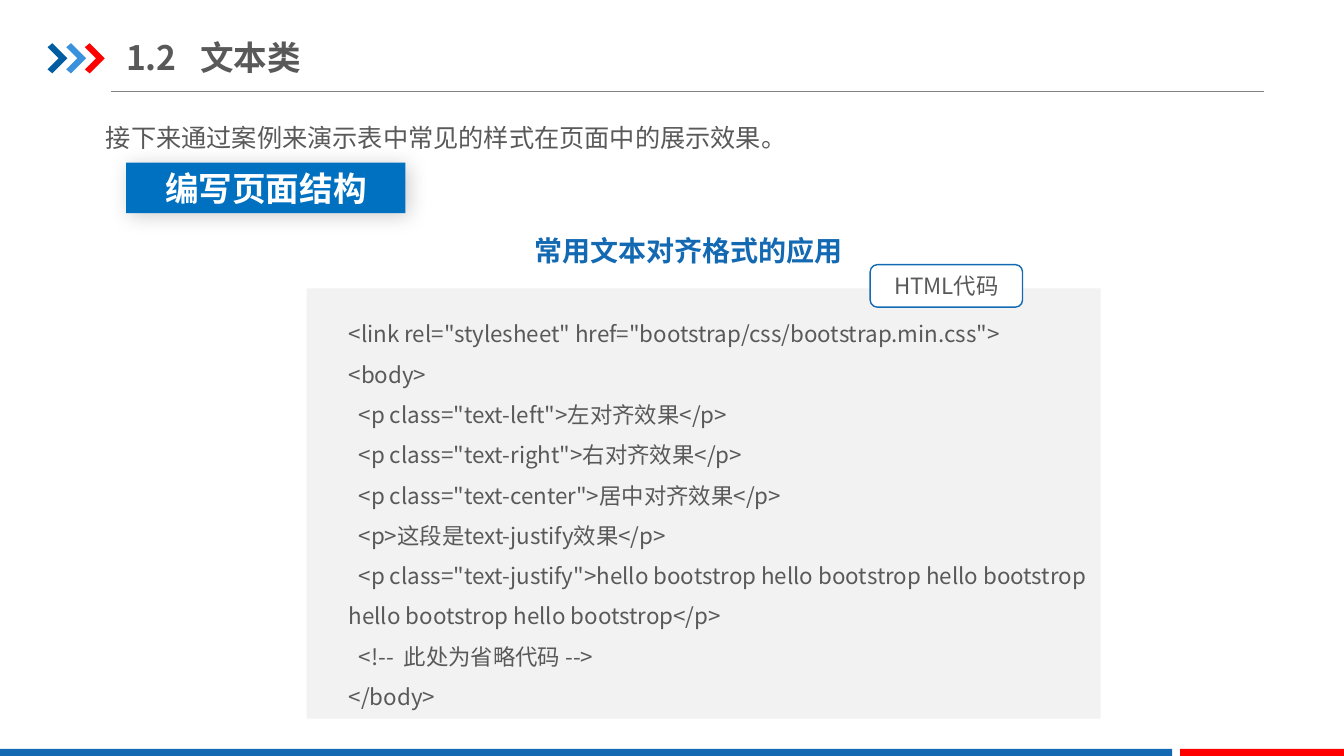
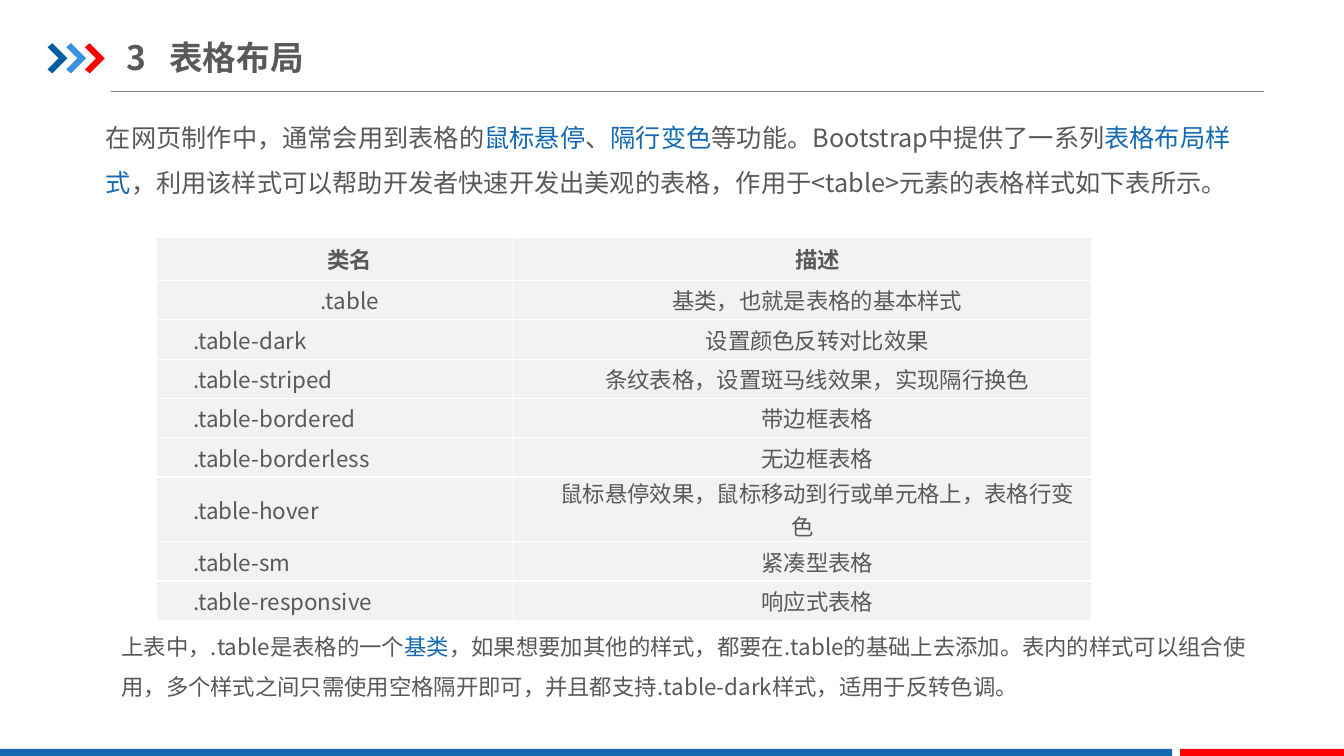
from collections import namedtuple

from lxml.etree import SubElement
from pptx import Presentation
from pptx.dml.color import RGBColor
from pptx.enum.shapes import MSO_CONNECTOR, MSO_SHAPE
from pptx.enum.text import MSO_ANCHOR, PP_ALIGN
from pptx.oxml import parse_xml
from pptx.oxml.ns import nsdecls, qn
from pptx.util import Cm, Pt

COLORS = {
    "text": "595959",
    "accent": "1369B2",
    "button": "0070C0",
    "panel": "F2F2F2",
    "white": "FFFFFF",
    "rule": "808080",
    "navy": "005DA2",
    "sky": "3992DB",
    "red": "FF0000",
    "shadow": "000000",
}
FONT = "Noto Sans CJK SC"
BODY_INSETS = (0.33, 0.18)
TITLE_INSETS = (0, 0.18)
DEFAULT_INSETS = (0.25, 0.13)
CHEVRON = [(0, 10), (12, 0), (50, 38), (12, 76), (0, 66), (28, 38)]

# All box lengths are centimetres.
Box = namedtuple("Box", "left top width height")

CODE = """<link rel="stylesheet" href="bootstrap/css/bootstrap.min.css">
<body>
  <p class="text-left">左对齐效果</p>
  <p class="text-right">右对齐效果</p>
  <p class="text-center">居中对齐效果</p>
  <p>这段是text-justify效果</p>
  <p class="text-justify">hello bootstrop hello bootstrop hello bootstrop hello bootstrop hello bootstrop</p>
  <!--  此处为省略代码 -->
</body>"""

TABLE_INTRO = (
    "在网页制作中，通常会用到表格的|鼠标悬停|、|隔行变色|等功能。Bootstrap中提供了一系列"
    "|表格布局样式|，利用该样式可以帮助开发者快速开发出美观的表格，"
    "作用于<table>元素的表格样式如下表所示。"
)
TABLE_NOTE = (
    "上表中，.table是表格的一个|基类|，如果想要加其他的样式，都要在.table的基础上去添加。"
    "表内的样式可以组合使用，多个样式之间只需使用空格隔开即可，"
    "并且都支持.table-dark样式，适用于反转色调。"
)
HEADER_ROW, SINGLE_ROW, DOUBLE_ROW = 1.09, 0.99, 1.63
CLASS_COLUMNS = (8.99, 14.58)
CLASS_ROWS = [
    (HEADER_ROW, "类名", "描述"),
    (SINGLE_ROW, ".table", "基类，也就是表格的基本样式"),
    (SINGLE_ROW, ".table-dark", "设置颜色反转对比效果"),
    (SINGLE_ROW, ".table-striped", "条纹表格，设置斑马线效果，实现隔行换色"),
    (SINGLE_ROW, ".table-bordered", "带边框表格"),
    (SINGLE_ROW, ".table-borderless", "无边框表格"),
    (DOUBLE_ROW, ".table-hover", "鼠标悬停效果，鼠标移动到行或单元格上，表格行变色"),
    (SINGLE_ROW, ".table-sm", "紧凑型表格"),
    (SINGLE_ROW, ".table-responsive", "响应式表格"),
]


def rgb(name):
    return RGBColor.from_string(COLORS[name])


def lengths(box):
    return [Cm(value) for value in box]


def write_text(frame, text, size, color="text", bold=False, align=PP_ALIGN.LEFT,
               spacing=None, font=FONT):
    """Fill a frame line by line; pieces between bars take the accent colour."""
    frame.text = text
    for para, line in zip(frame.paragraphs, text.split("\n")):
        para.clear()
        para.alignment = align
        if spacing:
            para.line_spacing = spacing
        for index, piece in enumerate(line.split("|")):
            span = para.add_run()
            span.text = piece
            span.font.size = Pt(size)
            span.font.bold = bold
            span.font.name = font
            span.font.color.rgb = rgb("accent" if index % 2 else color)
            SubElement(span.font._element, qn("a:ea")).set("typeface", font)


def add_text(page, box, text, size, insets=DEFAULT_INSETS, anchor=MSO_ANCHOR.TOP, **style):
    frame = page.shapes.add_textbox(*lengths(box)).text_frame
    frame.word_wrap = True
    frame.vertical_anchor = anchor
    frame.margin_left = frame.margin_right = Cm(insets[0])
    frame.margin_top = frame.margin_bottom = Cm(insets[1])
    write_text(frame, text, size, **style)
    return frame


def add_body(page, box, text, size=18):
    add_text(page, box, text, size, insets=BODY_INSETS, align=PP_ALIGN.JUSTIFY, spacing=1.5)


def paint(shape, fill, line=None):
    shape.shadow.inherit = False
    shape.fill.solid()
    shape.fill.fore_color.rgb = rgb(fill)
    if line:
        shape.line.color.rgb = rgb(line)
        shape.line.width = Pt(1)
    else:
        shape.line.fill.background()
    return shape


def add_block(page, box, fill, line=None, preset=MSO_SHAPE.RECTANGLE):
    return paint(page.shapes.add_shape(preset, *lengths(box)), fill, line)


def add_label(shape, text, size, **style):
    shape.text_frame.vertical_anchor = MSO_ANCHOR.MIDDLE
    write_text(shape.text_frame, text, size, align=PP_ALIGN.CENTER, **style)


def add_chevrons(page, left, top):
    for index, color in enumerate(("navy", "sky", "red")):
        builder = page.shapes.build_freeform(*CHEVRON[0], scale=Cm(0.01))
        builder.add_line_segments(CHEVRON[1:], close=True)
        paint(builder.convert_to_shape(Cm(left + 0.47 * index), Cm(top)), color)


def add_title(page, box, number, title, tab):
    frame = add_text(page, box, f"{number}\t{title}", 24, insets=TITLE_INSETS,
                     anchor=MSO_ANCHOR.MIDDLE, bold=True)
    stops = SubElement(frame.paragraphs[0]._p.get_or_add_pPr(), qn("a:tabLst"))
    SubElement(stops, qn("a:tab"), pos=str(Cm(tab)), algn="l")


def add_page(deck, number, title, tab):
    """Add a slide with the shared rule, chevrons, footer bands and title."""
    page = deck.slides.add_slide(deck.slide_layouts[6])
    rule = page.shapes.add_connector(
        MSO_CONNECTOR.STRAIGHT, Cm(2.79), Cm(2.31), Cm(31.85), Cm(2.31))
    rule.line.color.rgb = rgb("rule")
    rule.line.width = Pt(0.75)
    SubElement(rule._element.spPr, qn("a:effectLst"))
    add_chevrons(page, 1.2, 1.09)
    add_block(page, Box(0, 18.87, 29.54, 0.18), "accent")
    add_block(page, Box(29.74, 18.87, 4.13, 0.18), "red")
    add_title(page, Box(3.18, 0.74, 10.82, 1.4), number, title, tab)
    return page


def add_button(page, box, text):
    button = add_block(page, box, "button")
    effects = button._element.spPr.find(qn("a:effectLst"))
    effects.append(parse_xml(
        f'<a:outerShdw {nsdecls("a")} blurRad="{Pt(15)}" dist="{Pt(3)}" dir="2700000" '
        f'algn="tl" rotWithShape="0"><a:srgbClr val="{COLORS["shadow"]}">'
        '<a:alpha val="20000"/></a:srgbClr></a:outerShdw>'))
    add_label(button, text, 24, color="white", bold=True, font="Arial")


def add_code_panel(page, box, caption, tag, code):
    add_block(page, box, "panel")
    add_text(page, Box(box.left + 0.81, box.top + 0.34, box.width - 0.81, box.height - 0.34),
             code, 16, spacing=1.5)
    tag_box = Box(box.left + 14.2, box.top - 0.6, 3.84, 1.07)
    add_label(add_block(page, tag_box, "white", "accent", MSO_SHAPE.ROUNDED_RECTANGLE), tag, 16)
    add_text(page, Box(box.left + 2.29, box.top - 1.93, 14.66, 1.4), caption, 20,
             color="accent", bold=True, align=PP_ALIGN.CENTER, spacing=1.5)


def add_borders(cell):
    properties = cell._tc.get_or_add_tcPr()
    for index, side in enumerate("LRTB"):
        properties.insert(index, parse_xml(
            f'<a:ln{side} {nsdecls("a")} w="{Pt(1)}"><a:solidFill>'
            f'<a:srgbClr val="{COLORS["white"]}"/></a:solidFill></a:ln{side}>'))


def add_class_table(page, left, top, widths, rows):
    box = Box(left, top, sum(widths), sum(height for height, *_ in rows))
    table = page.shapes.add_table(len(rows), len(widths), *lengths(box)).table
    table.first_row = table.horz_banding = False
    for column, width in zip(table.columns, widths):
        column.width = Cm(width)
    for row_index, (height, *texts) in enumerate(rows):
        table.rows[row_index].height = Cm(height)
        for column_index, text in enumerate(texts):
            cell = table.cell(row_index, column_index)
            cell.fill.solid()
            cell.fill.fore_color.rgb = rgb("panel")
            cell.vertical_anchor = MSO_ANCHOR.MIDDLE
            cell.margin_left = cell.margin_right = Cm(0.18)
            cell.margin_top = cell.margin_bottom = 0
            centred = column_index == 1 or row_index < 2
            write_text(cell.text_frame, text, 16, bold=row_index == 0,
                       align=PP_ALIGN.CENTER if centred else PP_ALIGN.LEFT)
            para = cell.text_frame.paragraphs[0]
            para._p.get_or_add_pPr().set("indent", str(Cm(0.74)))
            add_borders(cell)


def build_text_class_page(deck):
    page = add_page(deck, "1.2", "文本类", tab=1.87)
    add_body(page, Box(2.34, 2.51, 29, 1.37),
             "接下来通过案例来演示表中常见的样式在页面中的展示效果。")
    add_code_panel(page, Box(7.73, 7.27, 20.01, 10.84),
                   "常用文本对齐格式的应用", "HTML代码", CODE)
    add_button(page, Box(3.18, 4.1, 7.04, 1.27), "编写页面结构")


def build_table_page(deck):
    page = add_page(deck, "3", "表格布局", tab=1.09)
    add_class_table(page, 3.95, 5.98, CLASS_COLUMNS, CLASS_ROWS)
    add_body(page, Box(2.34, 2.51, 29, 3.66), TABLE_INTRO)
    add_body(page, Box(2.73, 15.44, 29, 2.39), TABLE_NOTE, size=16)


def main():
    deck = Presentation()
    deck.slide_width, deck.slide_height = Cm(33.87), Cm(19.05)
    build_text_class_page(deck)
    build_table_page(deck)
    deck.save("out.pptx")


if __name__ == "__main__":
    main()
